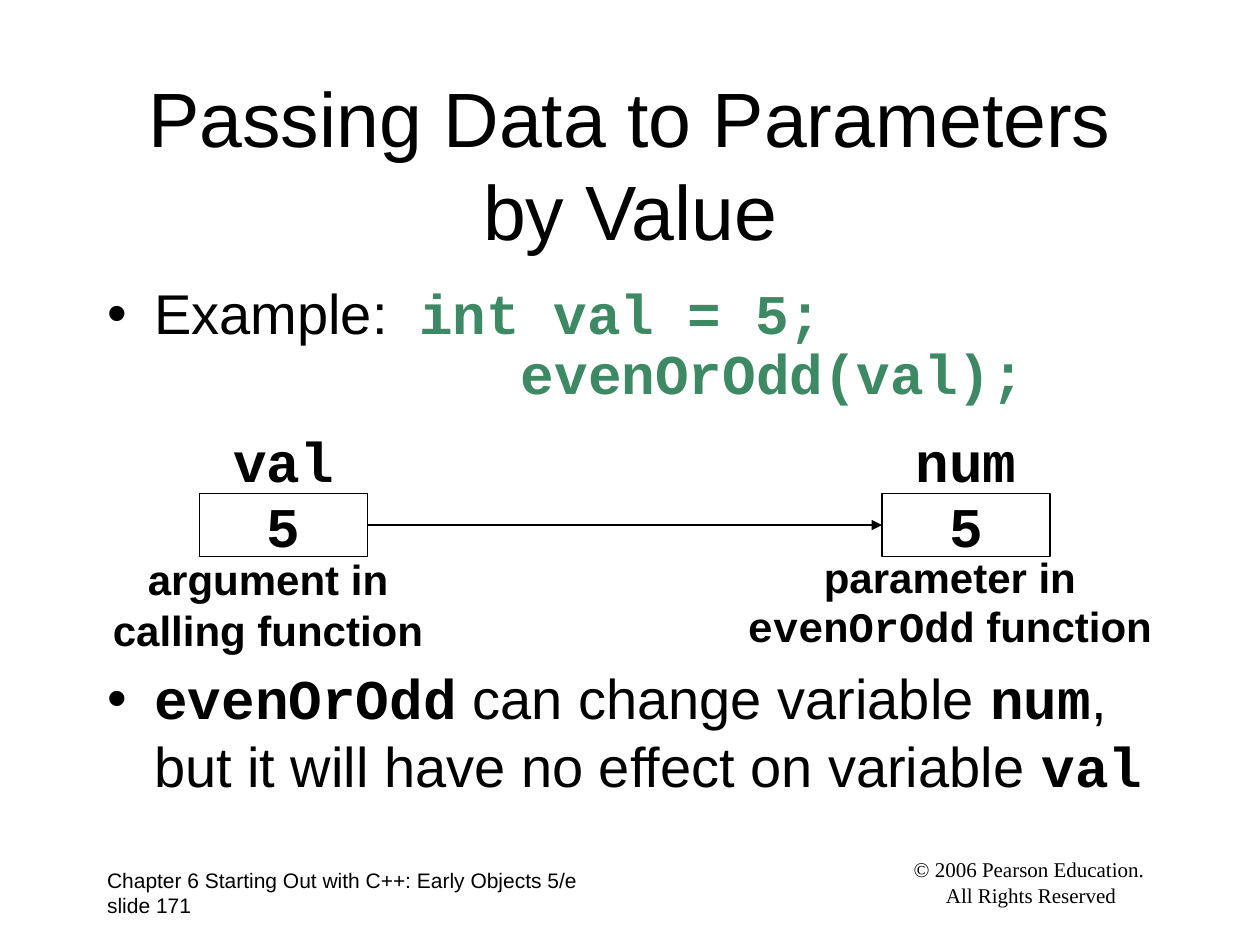
from dataclasses import dataclass

from lxml import etree
from pptx import Presentation
from pptx import util as u
from pptx.dml.color import RGBColor
from pptx.enum import shapes, text
from pptx.oxml import ns

CENTER = text.PP_ALIGN.CENTER
LEFT = text.PP_ALIGN.LEFT


@dataclass(frozen=True)
class Theme:
    sans: str = "Arial"
    mono: str = "Courier New"
    serif: str = "Times New Roman"
    ink: str = "000000"
    code: str = "3D8963"
    title: int = 44
    body: int = 32
    caption: int = 24
    footer: int = 12
    line: float = 0.75


class SlideBuilder:
    def __init__(self, prs, theme):
        self.theme = theme
        self.s = prs.slides.add_slide(prs.slide_layouts[5])

    def run(self, p, words, size, font=None, bold=False, color=None):
        r = p.add_run()
        r.text = words
        r.font.size = u.Pt(size)
        r.font.name = font or self.theme.sans
        r.font.bold = bold
        r.font.color.rgb = RGBColor.from_string(color or self.theme.ink)

    def paragraph(self, tf, runs, size, first=True, align=LEFT, spacing=1.0, before=0):
        p = tf.paragraphs[0] if first else tf.add_paragraph()
        p.alignment = align
        p.line_spacing = spacing
        p.space_before = u.Pt(0 if first else before)
        for words, *style in runs:
            self.run(p, words, size, *style)
        return p

    def indent(self, p, left, hanging=0, bullet=None):
        props = p._p.get_or_add_pPr()
        props.set("marL", str(u.Cm(left)))
        props.set("indent", str(-u.Cm(hanging)))
        if bullet:
            etree.SubElement(props, ns.qn("a:buFont"), typeface=self.theme.sans)
            etree.SubElement(props, ns.qn("a:buChar"), char=bullet)

    def title(self, words, left, top, width, height):
        sp = self.s.shapes.title
        sp.left, sp.top, sp.width, sp.height = map(u.Cm, (left, top, width, height))
        tf = sp.text_frame
        tf.word_wrap = True
        tf.auto_size = text.MSO_AUTO_SIZE.NONE
        tf.vertical_anchor = text.MSO_ANCHOR.MIDDLE
        self.paragraph(tf, [(words,)], self.theme.title, align=CENTER)

    def frame(self, left, top, width, height):
        tf = self.s.shapes.add_textbox(*map(u.Cm, (left, top, width, height))).text_frame
        tf.word_wrap = True
        return tf

    def text_box(self, box, lines, size, **style):
        tf = self.frame(*box)
        for i, runs in enumerate(lines):
            self.paragraph(tf, runs, size, first=i == 0, **style)

    def value_box(self, value, left, top, width, height):
        sp = self.s.shapes.add_shape(
            shapes.MSO_SHAPE.RECTANGLE, *map(u.Cm, (left, top, width, height)))
        sp.shadow.inherit = False
        sp.fill.background()
        sp.line.color.rgb = RGBColor.from_string(self.theme.ink)
        sp.line.width = u.Pt(self.theme.line)
        tf = sp.text_frame
        tf.word_wrap = False
        tf.vertical_anchor = text.MSO_ANCHOR.MIDDLE
        self.paragraph(tf, [(value, self.theme.mono, True)], self.theme.body, align=CENTER)
        return sp

    def arrow(self, source, target):
        y = source.top + source.height // 2
        line = self.s.shapes.add_connector(
            shapes.MSO_CONNECTOR.STRAIGHT, source.left + source.width, y, target.left, y)
        line.begin_connect(source, 3)
        line.end_connect(target, 1)
        line.line.color.rgb = RGBColor.from_string(self.theme.ink)
        line.line.width = u.Pt(self.theme.line)
        etree.SubElement(line.line._get_or_add_ln(), ns.qn("a:tailEnd"), type="triangle")
        etree.SubElement(line._element.spPr, ns.qn("a:effectLst"))


def main():
    prs = Presentation()
    prs.slide_width, prs.slide_height = u.Cm(25.4), u.Cm(19.05)
    t = Theme()
    b = SlideBuilder(prs, t)
    margin, content_width = 1.91, 21.59

    b.title("Passing Data to Parameters by Value", margin, 1.7, content_width, 3.18)

    tf = b.frame(margin, 5.5, content_width, 11.3)
    example = b.paragraph(
        tf, [("Example:  ",), ("int val = 5;", t.mono, True, t.code)], t.body)
    call = b.paragraph(
        tf, [("evenOrOdd(val);", t.mono, True, t.code)], t.body, first=False, spacing=0.9)
    effect = b.paragraph(tf, [
        ("evenOrOdd", t.mono, True),
        (" can change variable ",),
        ("num", t.mono, True),
        (", but it will have no effect on variable ",),
        ("val", t.mono, True),
    ], t.body, first=False, before=147)
    for p in (example, effect):
        b.indent(p, 0.95, 0.95, "•")
    b.indent(call, 8.34)

    boxes = []
    for name, left in (("val", 4.02), ("num", 17.78)):
        b.text_box((left, 8.48, 3.39, 1.63), [[(name, t.mono, True)]], t.body, align=CENTER)
        boxes.append(b.value_box("5", left, 9.95, 3.39, 1.27))
    b.arrow(*boxes)

    caption_top = 11.24
    b.text_box((margin, caption_top, 6.99, 2.11), [
        [("argument in", t.sans, True)],
        [("calling function", t.sans, True)],
    ], t.caption, align=CENTER, spacing=0.8, before=6)
    b.text_box((14.6, caption_top, 9.1, 2), [
        [("parameter in", t.sans, True)],
        [("evenOrOdd", t.mono, True), (" function", t.sans, True)],
    ], t.caption, align=CENTER, spacing=0.75, before=6)

    b.text_box((margin, 17.36, 11.86, 1.27), [
        [("Chapter 6 Starting Out with C++: Early Objects 5/e",)],
        [("slide 171",)],
    ], t.footer)
    b.text_box((16.72, 17.15, 8.05, 1.27), [
        [("© 2006 Pearson Education.", t.serif)],
        [(" All Rights Reserved", t.serif)],
    ], t.footer, align=CENTER)

    prs.save("out.pptx")


if __name__ == "__main__":
    main()
